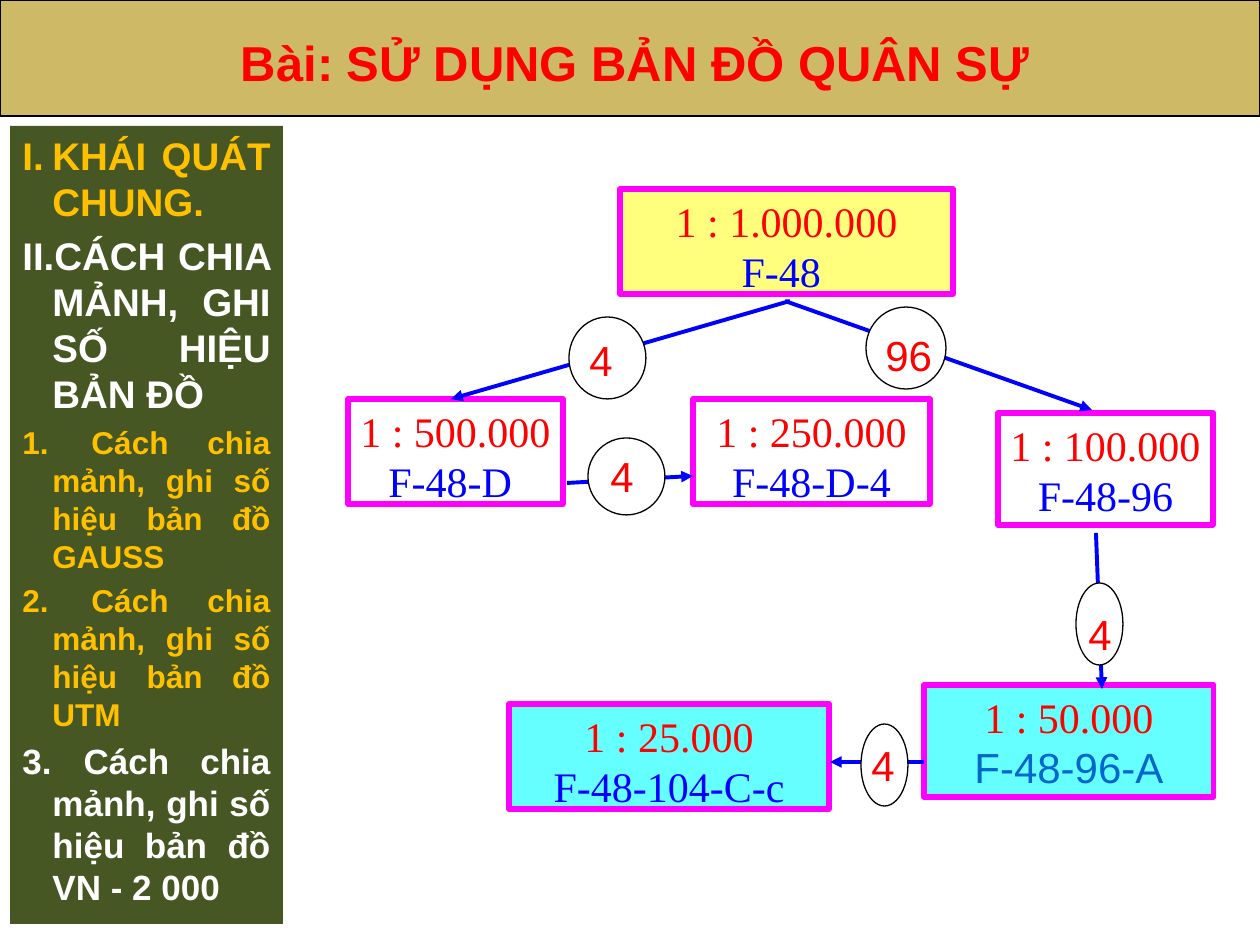
from lxml import etree
from pptx import Presentation
from pptx.dml.color import RGBColor
from pptx.enum.shapes import MSO_CONNECTOR, MSO_SHAPE
from pptx.enum.text import MSO_ANCHOR, PP_ALIGN
from pptx.oxml.ns import qn
from pptx.util import Emu, Pt

RECT, OVAL = MSO_SHAPE.RECTANGLE, MSO_SHAPE.OVAL
STRAIGHT = MSO_CONNECTOR.STRAIGHT
TOP, MIDDLE = MSO_ANCHOR.TOP, MSO_ANCHOR.MIDDLE
LEFT, CENTER, JUSTIFY = PP_ALIGN.LEFT, PP_ALIGN.CENTER, PP_ALIGN.JUSTIFY
PX = 914400 // 126
SANS, SERIF = "Arial", "Times New Roman"
RED, BLUE, AMBER, WHITE, BLACK = "FF0000", "0000FF", "FFC000", "FFFFFF", "000000"
MAGENTA, YELLOW, CYAN = "FF00FF", "FFFF7D", "66FFFF"

TITLE = "Bài: SỬ DỤNG BẢN ĐỒ QUÂN SỰ"
OUTLINE = [
    ("romanUcPeriod", 1, "KHÁI QUÁT CHUNG.", 22, AMBER),
    ("romanUcPeriod", 2, "CÁCH CHIA MẢNH, GHI SỐ HIỆU BẢN ĐỒ", 22, WHITE),
    ("arabicPeriod", 1, " Cách chia mảnh, ghi số hiệu bản đồ GAUSS", 18, AMBER),
    ("arabicPeriod", 2, " Cách chia mảnh, ghi số hiệu bản đồ UTM", 18, AMBER),
    ("arabicPeriod", 3, " Cách chia mảnh, ghi số hiệu bản đồ VN - 2 000", 20, WHITE),
]
ARROWS = [
    (790, 301, 451, 399), (1096, 533, 1102, 689), (785, 301, 1092, 410),
    (924, 762, 830, 762), (567, 483, 693, 476),
]
SHEETS = [
    ((620, 189, 333, 105), YELLOW, "1 : 1.000.000", "F-48 ", SERIF, BLUE),
    ((348, 399, 215, 105), WHITE, "1 : 500.000", "F-48-D ", SERIF, BLUE),
    ((693, 399, 237, 105), WHITE, "1 : 250.000", "F-48-D-4", SERIF, BLUE),
    ((998, 413, 215, 112), WHITE, "1 : 100.000", "F-48-96", SERIF, BLUE),
    ((924, 685, 290, 112), CYAN, "1 : 50.000", "F-48-96-A", SANS, "0066CC"),
    ((509, 704, 320, 105), CYAN, "1 : 25.000", "F-48-104-C-c", SERIF, BLUE),
]
COUNTS = [
    ((569, 317, 77, 82), (577, 328), "4"),
    ((866, 307, 80, 82), (873, 323), "96"),
    ((588, 438, 77, 77), (598, 444), "4"),
    ((1076, 583, 47, 82), (1076, 602), "4"),
    ((861, 724, 47, 82), (859, 733), "4"),
]


def color(value):
    """Return the colour for a hex string."""
    return RGBColor.from_string(value)


def add_box(page, kind, place, fill, line=None, width=0.75):
    """Add a filled preset shape, outlined if a line colour is given."""
    box = page.shapes.add_shape(kind, *(Emu(n * PX) for n in place))
    box.shadow.inherit = False
    box.fill.solid()
    box.fill.fore_color.rgb = color(fill)
    if line:
        box.line.color.rgb = color(line)
        box.line.width = Pt(width)
    else:
        box.line.fill.background()
    return box


def add_text_box(page, place):
    """Add an empty text box."""
    return page.shapes.add_textbox(*(Emu(n * PX) for n in place))


def write(box, lines, align, anchor=TOP, bold=False):
    """Write one paragraph per (text, size, font, colour) and return them."""
    frame = box.text_frame
    frame.word_wrap = True
    frame.vertical_anchor = anchor
    for index, (text, size, font, hue) in enumerate(lines):
        para = frame.add_paragraph() if index else frame.paragraphs[0]
        para.alignment = align
        span = para.add_run()
        span.text = text
        span.font.size = Pt(size)
        span.font.name = font
        span.font.bold = bold
        span.font.color.rgb = color(hue)
    return frame.paragraphs


def add_title(page):
    """Add the banner and its shadowed title."""
    add_box(page, RECT, (0, 0, 1260, 116), "CEB966", BLACK)
    box = add_text_box(page, (126, 28, 1018, 67))
    para = write(box, [(TITLE, 28, SANS, RED)], CENTER, MIDDLE, True)[0]
    effects = etree.Element(qn("a:effectLst"))
    shadow = etree.SubElement(effects, qn("a:outerShdw"), blurRad="38100",
                              dist="38100", dir="2700000", algn="tl")
    hue = etree.SubElement(shadow, qn("a:srgbClr"), val=BLACK)
    etree.SubElement(hue, qn("a:alpha"), val="43000")
    para.runs[0].font.fill._xPr.find(qn("a:solidFill")).addnext(effects)


def add_outline(page):
    """Add the numbered lesson outline on the left."""
    box = add_box(page, RECT, (10, 126, 273, 798), "465723")
    lines = [(text, size, SANS, hue) for _, _, text, size, hue in OUTLINE]
    paras = write(box, lines, JUSTIFY, bold=True)
    for index, (para, (scheme, start, _, size, _)) in enumerate(zip(paras, OUTLINE)):
        props = para._p.get_or_add_pPr()
        props.set("marL", str(30 * PX))
        props.set("indent", str(-30 * PX))
        etree.SubElement(props, qn("a:buFont"), typeface=SANS)
        etree.SubElement(props, qn("a:buAutoNum"), type=scheme, startAt=str(start))
        if index:
            para.space_before = Pt(round(size * 0.2))


def add_arrow(page, ends):
    """Add a straight blue arrow."""
    arrow = page.shapes.add_connector(STRAIGHT, *(Emu(n * PX) for n in ends))
    arrow.line.color.rgb = color(BLUE)
    arrow.line.width = Pt(2.25)
    etree.SubElement(arrow.line._get_or_add_ln(), qn("a:tailEnd"), type="triangle")
    etree.SubElement(arrow._element.spPr, qn("a:effectLst"))


def main():
    """Build the map sheet numbering slide."""
    deck = Presentation()
    deck.slide_width, deck.slide_height = Emu(1260 * PX), Emu(945 * PX)
    page = deck.slides.add_slide(deck.slide_layouts[6])
    add_title(page)
    add_box(page, RECT, (295, 126, 965, 819), WHITE)
    add_outline(page)
    for place, fill, scale, code, font, hue in SHEETS:
        box = add_box(page, RECT, place, fill, MAGENTA, 3)
        write(box, [(scale, 24, SERIF, RED), (code, 24, font, hue)], CENTER)
    for ends in ARROWS:
        add_arrow(page, ends)
    for oval, (left, top), count in COUNTS:
        add_box(page, OVAL, oval, WHITE, BLACK)
        label = add_text_box(page, (left, top, 34 + 34 * len(count), 64))
        write(label, [(count, 24, SANS, RED)], LEFT)
    deck.save("out.pptx")


if __name__ == "__main__":
    main()
